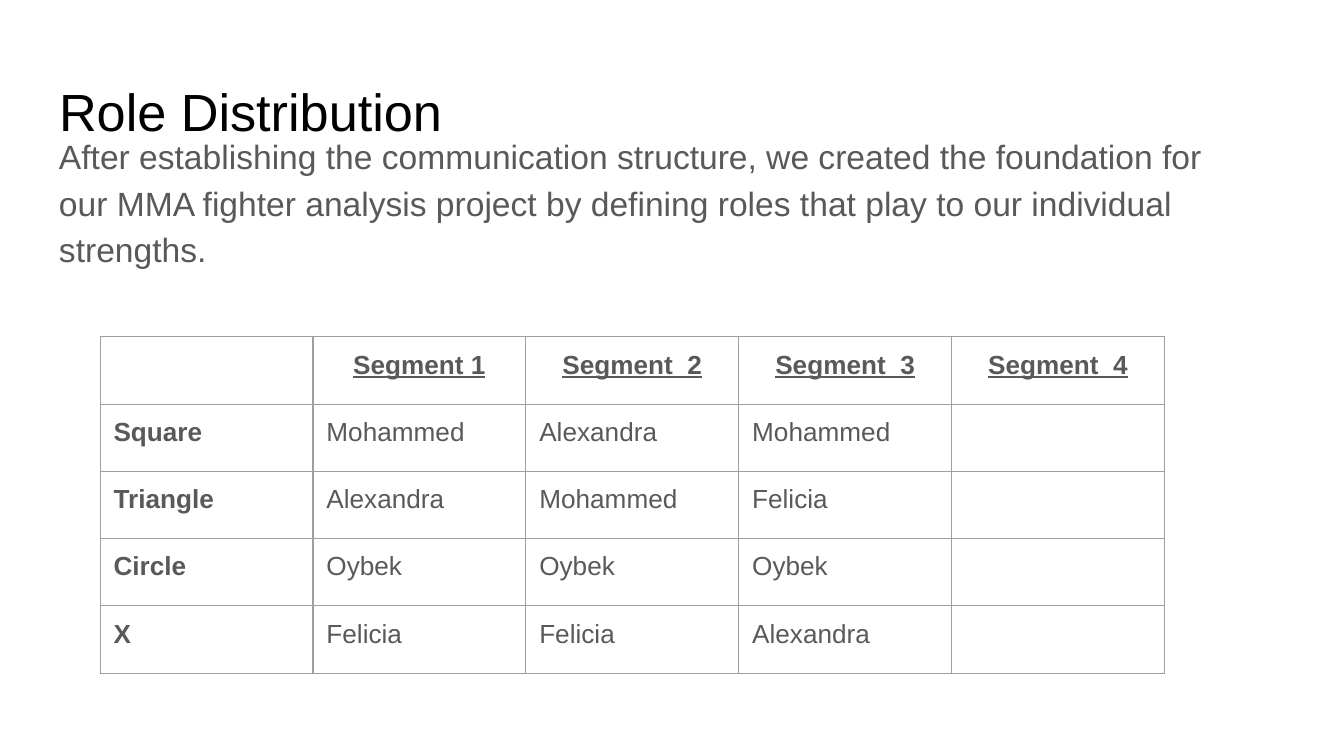
from lxml.etree import SubElement
from pptx import Presentation
from pptx.dml.color import RGBColor
from pptx.enum.text import MSO_ANCHOR, PP_ALIGN
from pptx.oxml.ns import qn
from pptx.util import Inches, Pt

BLACK = RGBColor(0x00, 0x00, 0x00)
GRAY = RGBColor(0x59, 0x59, 0x59)
BORDER = RGBColor(0x9E, 0x9E, 0x9E)
FONT = "Arial"
INSET = Inches(0.1)
SLIDE_WIDTH = Inches(10)
SLIDE_HEIGHT = SLIDE_WIDTH * 9 // 16

TITLE = "Role Distribution"
INTRO = (
    "After establishing the communication structure, we created the foundation for "
    "our MMA fighter analysis project by defining roles that play to our individual strengths."
)
ROLES = [
    ["", "Segment 1", "Segment  2", "Segment  3", "Segment  4"],
    ["Square", "Mohammed", "Alexandra", "Mohammed", ""],
    ["Triangle", "Alexandra", "Mohammed", "Felicia", ""],
    ["Circle", "Oybek", "Oybek", "Oybek", ""],
    ["X", "Felicia", "Felicia", "Alexandra", ""],
]


def share_box(left, top, width, height):
    """Turn percentages of the slide into a box of lengths."""
    return (
        int(SLIDE_WIDTH * left / 100),
        int(SLIDE_HEIGHT * top / 100),
        int(SLIDE_WIDTH * width / 100),
        int(SLIDE_HEIGHT * height / 100),
    )


def set_insets(target):
    """Give a text frame or a cell the same margin on every side."""
    target.margin_left = target.margin_right = INSET
    target.margin_top = target.margin_bottom = INSET


def style_font(font, size, color):
    """Set typeface, size and colour."""
    font.name = FONT
    font.size = Pt(size)
    font.color.rgb = color


def add_text(slide, box, text, size, color):
    """Place one wrapped paragraph in a box and return it."""
    frame = slide.shapes.add_textbox(*box).text_frame
    frame.word_wrap = True
    frame.vertical_anchor = MSO_ANCHOR.TOP
    set_insets(frame)
    paragraph = frame.paragraphs[0]
    paragraph.text = text
    style_font(paragraph.font, size, color)
    return paragraph


def add_intro(slide, box):
    """Place the spaced introduction."""
    paragraph = add_text(slide, box, INTRO, 18, GRAY)
    paragraph.line_spacing = 1.15
    paragraph.space_before = paragraph.space_after = Pt(12)


def add_borders(cell):
    """Draw a thin solid line on all four sides of a cell."""
    properties = cell._tc.get_or_add_tcPr()
    for side in ("a:lnL", "a:lnR", "a:lnT", "a:lnB"):
        line = SubElement(properties, qn(side), w=str(Pt(0.75)))
        fill = SubElement(line, qn("a:solidFill"))
        SubElement(fill, qn("a:srgbClr"), val=str(BORDER))


def style_empty(paragraph, size):
    """Set the font that gives an empty cell its height."""
    ending = SubElement(paragraph._p, qn("a:endParaRPr"), sz=str(size * 100))
    SubElement(ending, qn("a:latin"), typeface=FONT)


def add_roles_table(slide, box):
    """Place the table of roles by shape and segment."""
    table = slide.shapes.add_table(len(ROLES), len(ROLES[0]), *box).table
    table.first_row = table.horz_banding = False
    for row, names in enumerate(ROLES):
        for column, name in enumerate(names):
            cell = table.cell(row, column)
            set_insets(cell)
            add_borders(cell)
            cell.fill.background()
            paragraph = cell.text_frame.paragraphs[0]
            if not name:
                style_empty(paragraph, 18)
                continue
            paragraph.text = name
            style_font(paragraph.font, 14, GRAY)
            paragraph.font.bold = row == 0 or column == 0
            paragraph.font.underline = row == 0
            paragraph.alignment = PP_ALIGN.CENTER if row == 0 else PP_ALIGN.LEFT


def main():
    """Build and save the slide."""
    presentation = Presentation()
    presentation.slide_width, presentation.slide_height = SLIDE_WIDTH, SLIDE_HEIGHT
    slide = presentation.slides.add_slide(presentation.slide_layouts[6])
    add_text(slide, share_box(3.41, 8.7, 93.2, 11.2), TITLE, 28, BLACK)
    add_roles_table(slide, share_box(7.45, 44.56, 79.2, 37.04))
    add_intro(slide, share_box(3.41, 15.45, 91.3, 22.2))
    presentation.save("out.pptx")


if __name__ == "__main__":
    main()
